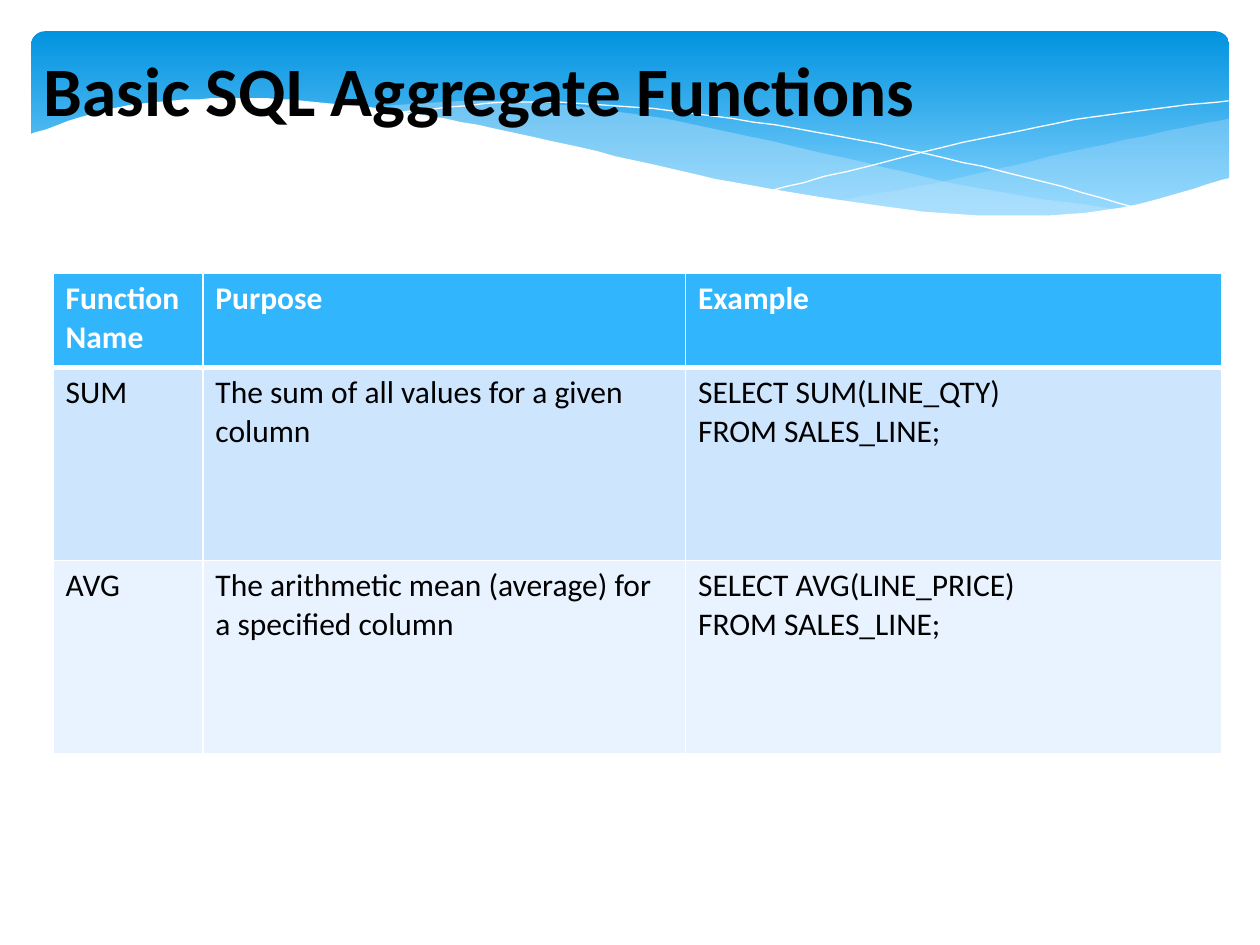
import pptx
import pptx.util
import pptx.dml.color
import pptx.enum.shapes
import pptx.enum.text
import pptx.oxml
import pptx.oxml.ns
from pptx.util import Cm

COLORS = {
    "band_top": "0293E0", "band_bottom": "83D3FE", "wave": "C6E7FC",
    "white": "FFFFFF", "black": "000000",
    "header": "31B6FD", "row_dark": "CEE5FE", "row_light": "E8F3FF",
}
rgb = pptx.dml.color.RGBColor.from_string


def write(frame, text, size=18, color="black", bold=False, font="Calibri"):
    """Fill a text frame, one paragraph for each line of text."""
    for index, line in enumerate(text.split("\n")):
        para = frame.paragraphs[0] if index == 0 else frame.add_paragraph()
        span = para.add_run()
        span.text = line
        span.font.size = pptx.util.Pt(size)
        span.font.name = font
        span.font.bold = bold
        span.font.color.rgb = rgb(COLORS[color])


def smooth(knots, steps=8):
    """Return points on a Catmull-Rom curve through the knots."""
    padded = [knots[0], *knots, knots[-1]]
    points = [knots[0]]
    for before, start, end, after in zip(padded, padded[1:], padded[2:], padded[3:]):
        for step in range(1, steps + 1):
            t = step / steps
            points.append(tuple(
                b + t * (c - a + t * (2 * a - 5 * b + 4 * c - d
                                      + t * (3 * b - a - 3 * c + d))) / 2
                for a, b, c, d in zip(before, start, end, after)))
    return points


deck = pptx.Presentation()
deck.slide_width, deck.slide_height = Cm(25.4), Cm(19.05)
page = deck.slides.add_slide(deck.slide_layouts[6])

# Header band
band = page.shapes.add_shape(
    pptx.enum.shapes.MSO_SHAPE.ROUNDED_RECTANGLE,
    Cm(0.63), Cm(0.63), Cm(24.15), Cm(3.96))
band.adjustments[0] = 0.07
band.shadow.inherit = False
band.line.fill.background()
band.fill.gradient()
band.fill.gradient_angle = 270
for stop, color, position in zip(
        band.fill.gradient_stops, ("band_top", "band_bottom"), (0, 0.9)):
    stop.color.rgb = rgb(COLORS[color])
    stop.position = position

# Waves: fill, opacity in percent, curves through knots in 1/100 inch
waves = [
    ("wave", 29, [[(976, 94), (861, 118), (753, 143), (661, 160)],
                  [(661, 160), (769, 171), (872, 169), (976, 141)]]),
    ("wave", 40, [[(893, 167), (775, 149), (629, 116), (514, 92), (399, 80), (286, 86)],
                  [(286, 86), (404, 106), (530, 135), (665, 161), (785, 172), (893, 167)]]),
    (None, 100, [[(309, 90), (416, 81), (533, 88), (665, 108), (795, 136), (907, 166)]]),
    (None, 100, [[(613, 151), (748, 117), (866, 93), (975, 80)]]),
    ("white", 100, [[(977, 141), (875, 167), (761, 170), (648, 156), (555, 139),
                     (447, 114), (340, 92), (250, 81), (177, 78), (95, 85), (23, 107)],
                    [(23, 224), (977, 224)]]),
]
for fill, opacity, curves in waves:
    points = [point for knots in curves for point in smooth(knots)]
    builder = page.shapes.build_freeform(*points[0], scale=Cm(0.0254))
    builder.add_line_segments(points[1:], close=fill is not None)
    wave = builder.convert_to_shape()
    wave.shadow.inherit = False
    if fill is None:
        wave.fill.background()
        wave.line.color.rgb = rgb(COLORS["white"])
        wave.line.width = 0
        continue
    wave.line.fill.background()
    wave.fill.solid()
    wave.fill.fore_color.rgb = rgb(COLORS[fill])
    if opacity < 100:
        color_node = wave._element.spPr.find(".//" + pptx.oxml.ns.qn("a:srgbClr"))
        color_node.append(color_node.makeelement(
            pptx.oxml.ns.qn("a:alpha"), {"val": str(opacity * 1000)}))

# Title
title = page.shapes.add_textbox(Cm(0.63), Cm(0.84), Cm(22.86), Cm(1.9))
title.text_frame.word_wrap = True
title.text_frame.vertical_anchor = pptx.enum.text.MSO_ANCHOR.MIDDLE
write(title.text_frame, "Basic SQL Aggregate Functions", size=39.6, bold=True)

# Function table
rows = [
    ("Function Name", "Purpose", "Example"),
    ("SUM", "The sum of all values for a given column",
     "SELECT SUM(LINE_QTY)\nFROM SALES_LINE;"),
    ("AVG", "The arithmetic mean (average) for a specified column",
     "SELECT AVG(LINE_PRICE)\nFROM SALES_LINE;"),
]
row_fills = ("header", "row_dark", "row_light")
row_heights = (1.9, 3.89, 3.89)
column_widths = (3.02, 9.73, 10.8)
table = page.shapes.add_table(
    len(rows), len(column_widths), Cm(1.07), Cm(5.51),
    Cm(sum(column_widths)), Cm(sum(row_heights))).table
for column, width in zip(table.columns, column_widths):
    column.width = Cm(width)
for row_index, texts in enumerate(rows):
    table.rows[row_index].height = Cm(row_heights[row_index])
    is_header = row_index == 0
    for column_index, text in enumerate(texts):
        cell = table.cell(row_index, column_index)
        write(cell.text_frame, text, bold=is_header,
              color="white" if is_header else "black")
        cell.fill.solid()
        cell.fill.fore_color.rgb = rgb(COLORS[row_fills[row_index]])
        properties = cell._tc.get_or_add_tcPr()
        for order, side in enumerate("LRTB"):
            thick = (row_index, side) in ((0, "B"), (1, "T"))
            properties.insert(order, pptx.oxml.parse_xml(
                f'<a:ln{side} {pptx.oxml.ns.nsdecls("a")} '
                f'w="{pptx.util.Pt(3 if thick else 1)}"><a:solidFill>'
                f'<a:srgbClr val="{COLORS["white"]}"/></a:solidFill></a:ln{side}>'))

deck.save("out.pptx")
